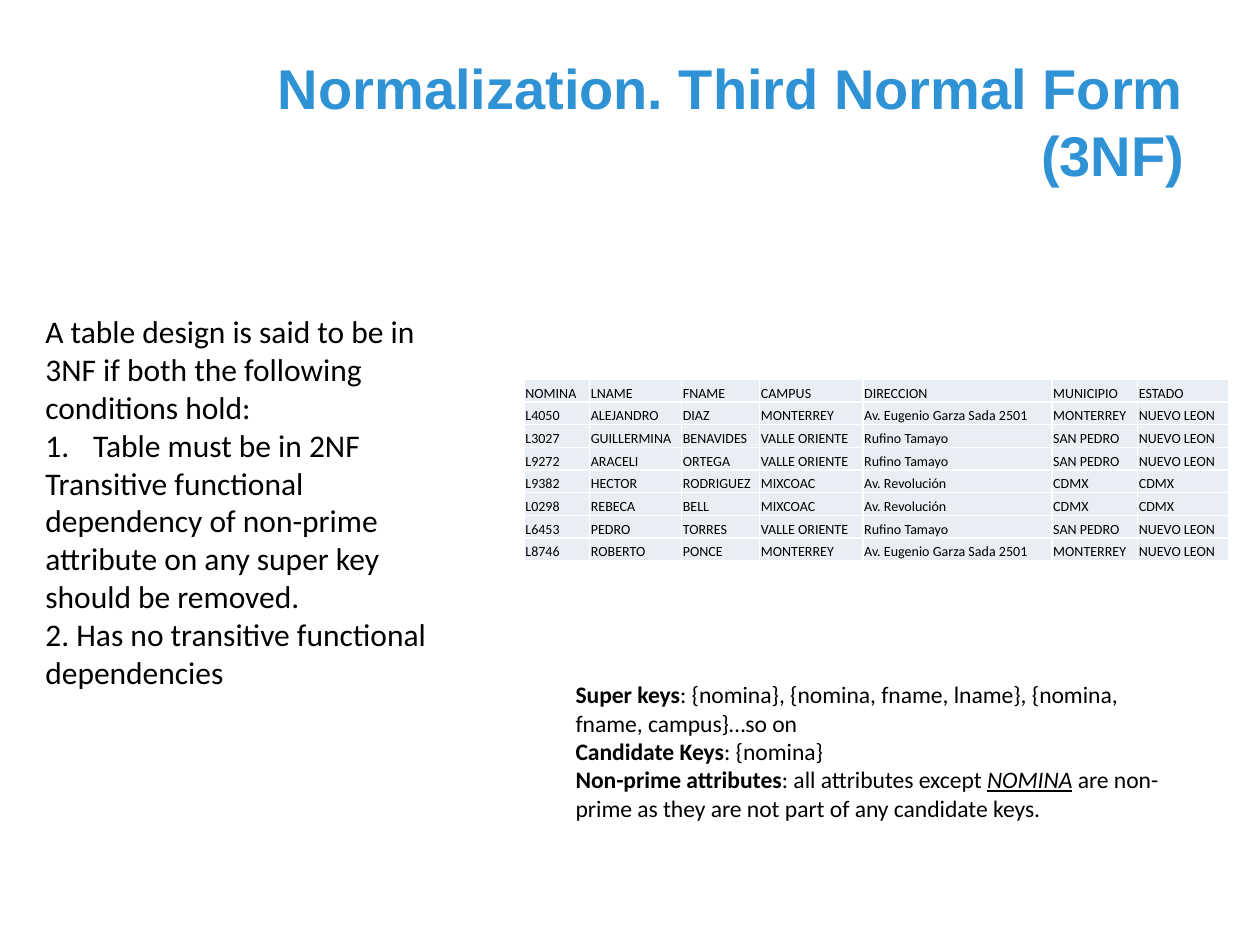
"""Build the Third Normal Form slide."""
from dataclasses import dataclass

from lxml import etree
from pptx import Presentation
from pptx.dml.color import RGBColor
from pptx.enum.text import MSO_ANCHOR, MSO_AUTO_SIZE, PP_ALIGN
from pptx.oxml.ns import qn
from pptx.util import Inches, Pt

TOP, MIDDLE, BOTTOM = MSO_ANCHOR.TOP, MSO_ANCHOR.MIDDLE, MSO_ANCHOR.BOTTOM
GROW, FIXED = MSO_AUTO_SIZE.SHAPE_TO_FIT_TEXT, MSO_AUTO_SIZE.NONE
RIGHT = PP_ALIGN.RIGHT


@dataclass(frozen=True)
class Theme:
    heading_font: str = "Arial"
    body_font: str = "Calibri"
    heading: str = "2E92D5"
    ink: str = "000000"
    cell: str = "E9EDF4"
    border: str = "FFFFFF"
    heading_size: float = 32
    body_size: float = 18
    keys_size: float = 13.5
    table_size: float = 8
    border_width: float = 1


@dataclass(frozen=True)
class Box:
    left: float
    top: float
    width: float
    height: float

    def lengths(self) -> tuple:
        return tuple(Inches(n) for n in (self.left, self.top, self.width, self.height))


@dataclass(frozen=True)
class Span:
    text: str
    bold: bool = False
    emphasis: bool = False


@dataclass(frozen=True)
class Condition:
    text: str
    numbered: bool = False


THEME = Theme()
TITLE_BOX = Box(1.29, 0.33, 8.21, 1.25)
CONDITIONS_BOX = Box(0.26, 2.43, 3.28, 3.13)
KEYS_BOX = Box(4.47, 5.35, 4.9, 1.24)
TABLE_BOX = Box(4.16, 3.01, 5.59, 1.44)
NUMBER_INDENT = 0.38
CELL_INSET = 0.01
COLUMN_WIDTHS = (0.52, 0.73, 0.62, 0.82, 1.5, 0.68, 0.72)

CONDITIONS = (
    Condition("A table design is said to be in 3NF if both the following conditions hold:"),
    Condition("Table must be in 2NF", numbered=True),
    Condition("Transitive functional dependency of non-prime attribute on any super key "
              "should be removed."),
    Condition("2. Has no transitive functional dependencies"),
)
KEY_LINES = (
    (Span("Super keys", bold=True),
     Span(": {nomina}, {nomina, fname, lname}, {nomina, fname, campus}…so on")),
    (Span("Candidate Keys", bold=True), Span(": {nomina}")),
    (Span("Non-prime attributes", bold=True), Span(": all attributes except "),
     Span("NOMINA", emphasis=True),
     Span(" are non-prime as they are not part of any candidate keys.")),
)
HEADER = ("NOMINA", "LNAME", "FNAME", "CAMPUS", "DIRECCION", "MUNICIPIO", "ESTADO")
CAMPUSES = {
    "MONTERREY": ("Av. Eugenio Garza Sada 2501", "MONTERREY", "NUEVO LEON"),
    "VALLE ORIENTE": ("Rufino Tamayo", "SAN PEDRO", "NUEVO LEON"),
    "MIXCOAC": ("Av. Revolución", "CDMX", "CDMX"),
}
EMPLOYEES = (
    ("L4050", "ALEJANDRO", "DIAZ", "MONTERREY"),
    ("L3027", "GUILLERMINA", "BENAVIDES", "VALLE ORIENTE"),
    ("L9272", "ARACELI", "ORTEGA", "VALLE ORIENTE"),
    ("L9382", "HECTOR", "RODRIGUEZ", "MIXCOAC"),
    ("L0298", "REBECA", "BELL", "MIXCOAC"),
    ("L6453", "PEDRO", "TORRES", "VALLE ORIENTE"),
    ("L8746", "ROBERTO", "PONCE", "MONTERREY"),
)


def style(font, size: float, family: str = THEME.body_font, color: str = THEME.ink) -> None:
    font.size, font.name = Pt(size), family
    font.color.rgb = RGBColor.from_string(color)


def place(shape, box: Box) -> None:
    shape.left, shape.top, shape.width, shape.height = box.lengths()


def set_marker(paragraph, numbered: bool) -> None:
    properties = paragraph._p.get_or_add_pPr()
    indent = Inches(NUMBER_INDENT) if numbered else 0
    properties.set("marL", str(indent))
    properties.set("indent", str(-indent))
    if numbered:
        etree.SubElement(properties, qn("a:buFont"), typeface="+mj-lt")
        etree.SubElement(properties, qn("a:buAutoNum"), type="arabicPeriod")
    else:
        etree.SubElement(properties, qn("a:buNone"))


def fill_title(title) -> None:
    place(title, TITLE_BOX)
    frame = title.text_frame
    frame.text = "Normalization. Third Normal Form (3NF)"
    frame.vertical_anchor, frame.auto_size, frame.word_wrap = MIDDLE, FIXED, True
    heading = frame.paragraphs[0]
    heading.alignment = RIGHT
    style(heading.font, THEME.heading_size, THEME.heading_font, THEME.heading)
    heading.font.bold = True


def fill_conditions(body) -> None:
    place(body, CONDITIONS_BOX)
    frame = body.text_frame
    frame.text = "\n".join(condition.text for condition in CONDITIONS)
    frame.vertical_anchor, frame.auto_size, frame.word_wrap = TOP, GROW, True
    for paragraph, condition in zip(frame.paragraphs, CONDITIONS):
        paragraph.space_before = Pt(0)
        set_marker(paragraph, condition.numbered)
        style(paragraph.font, THEME.body_size)


def add_keys(slide) -> None:
    frame = slide.shapes.add_textbox(*KEYS_BOX.lengths()).text_frame
    frame.word_wrap, frame.auto_size = True, GROW
    paragraph = frame.paragraphs[0]
    style(paragraph.font, THEME.keys_size)
    for number, line in enumerate(KEY_LINES):
        if number:
            paragraph.add_line_break()
        for span in line:
            run = paragraph.add_run()
            run.text = span.text
            run.font.bold = span.bold
            run.font.italic = run.font.underline = span.emphasis


def format_cell(cell, text: str) -> None:
    cell.text = text
    cell.vertical_anchor = BOTTOM
    cell.margin_left = cell.margin_right = cell.margin_top = Inches(CELL_INSET)
    cell.margin_bottom = 0
    style(cell.text_frame.paragraphs[0].font, THEME.table_size)
    properties = cell._tc.get_or_add_tcPr()
    for side in ("lnL", "lnR", "lnT", "lnB"):
        line = etree.SubElement(properties, qn(f"a:{side}"), w=str(Pt(THEME.border_width)))
        paint = etree.SubElement(line, qn("a:solidFill"))
        etree.SubElement(paint, qn("a:srgbClr"), val=THEME.border)
    cell.fill.solid()
    cell.fill.fore_color.rgb = RGBColor.from_string(THEME.cell)


def add_employees(slide) -> None:
    records = (HEADER, *(employee + CAMPUSES[employee[-1]] for employee in EMPLOYEES))
    table = slide.shapes.add_table(len(records), len(HEADER), *TABLE_BOX.lengths()).table
    table.first_row = table.horz_banding = False
    for column, width in zip(table.columns, COLUMN_WIDTHS):
        column.width = Inches(width)
    for row, record in zip(table.rows, records):
        row.height = Inches(TABLE_BOX.height / len(records))
        for cell, text in zip(row.cells, record):
            format_cell(cell, text)


def main() -> None:
    deck = Presentation()
    deck.slide_width, deck.slide_height = Inches(10), Inches(7.5)
    slide = deck.slides.add_slide(deck.slide_layouts[1])
    fill_title(slide.shapes.title)
    fill_conditions(slide.placeholders[1])
    add_keys(slide)
    add_employees(slide)
    deck.save("out.pptx")


if __name__ == "__main__":
    main()
